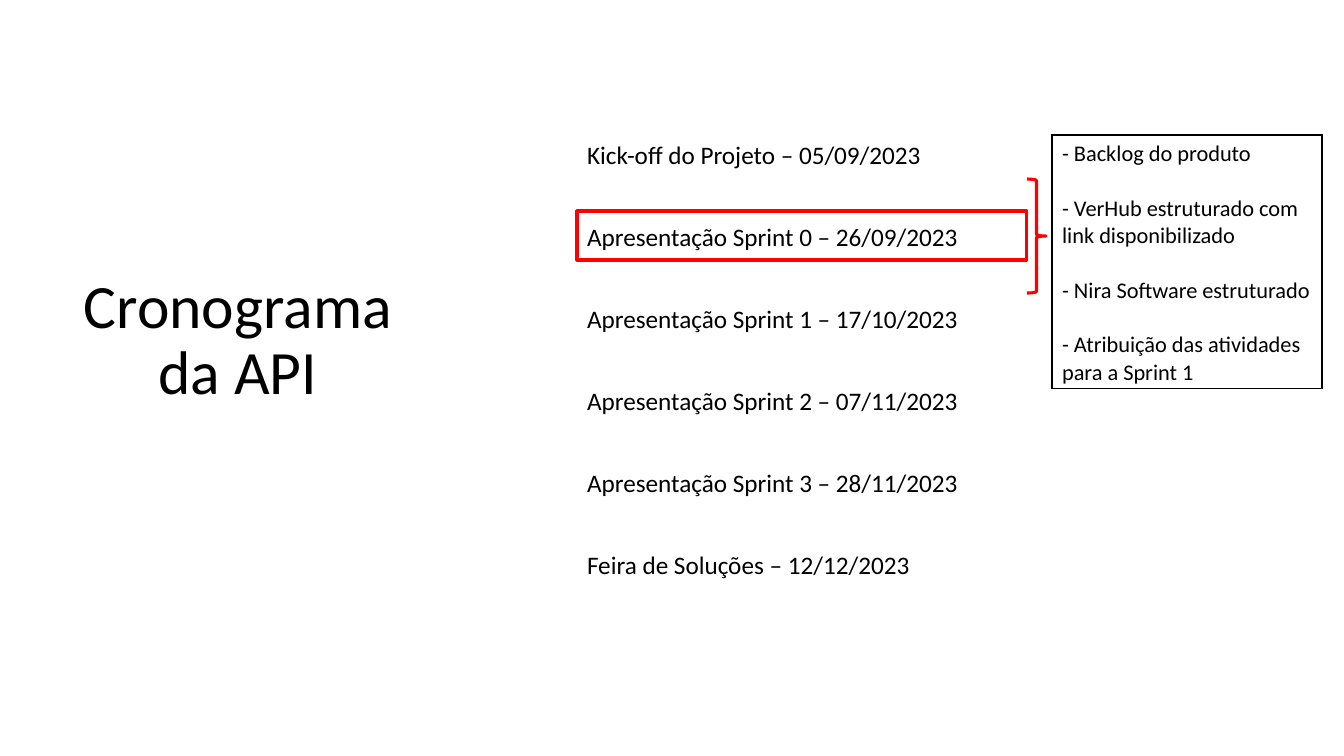
from dataclasses import dataclass

import pptx
import pptx.dml.color
import pptx.enum.shapes
import pptx.enum.text
import pptx.oxml
import pptx.oxml.ns
import pptx.util

EMU_PER_INCH = 914400
PX_PER_INCH = 100.8


@dataclass(frozen=True)
class Theme:
    font: str = "Calibri"
    ink: str = "000000"
    accent: str = "FF0000"
    title_pt: int = 44
    milestone_pt: int = 18
    deliverable_pt: int = 16
    deliverable_gap_pt: float = 19.5
    mark_pt: float = 2.25
    border_pt: int = 1


@dataclass(frozen=True)
class Box:
    left: int
    top: int
    width: int
    height: int


@dataclass(frozen=True)
class Mark:
    kind: pptx.enum.shapes.MSO_SHAPE
    box: Box


THEME = Theme()

TITLE = "Cronograma da API"  # a no-break space follows the first word
TITLE_BOX = Box(68, 57, 340, 636)
TITLE_BOTTOM_INSET = 72

MILESTONES = [
    "Kick-off do Projeto – 05/09/2023",
    "Apresentação Sprint 0 – 26/09/2023",
    "Apresentação Sprint 1 – 17/10/2023",
    "Apresentação Sprint 2 – 07/11/2023",
    "Apresentação Sprint 3 – 28/11/2023",
    "Feira de Soluções – 12/12/2023",
]
MILESTONES_BOX = Box(577, 135, 450, 492)

DELIVERABLES = [
    "- Backlog do produto",
    "- VerHub estruturado com link disponibilizado",
    "- Nira Software estruturado",
    "- Atribuição das atividades para a Sprint 1",
]
DELIVERABLES_BOX = Box(1052, 135, 270, 252)

SPRINT_MARKS = [
    Mark(pptx.enum.shapes.MSO_SHAPE.RECTANGLE, Box(577, 211, 450, 49)),
    Mark(pptx.enum.shapes.MSO_SHAPE.RIGHT_BRACE, Box(1027, 179, 19, 114)),
]


def px(length: int) -> pptx.util.Emu:
    return pptx.util.Emu(round(length * EMU_PER_INCH / PX_PER_INCH))


def place(box: Box) -> tuple[pptx.util.Emu, ...]:
    return px(box.left), px(box.top), px(box.width), px(box.height)


def rgb(colour: str) -> pptx.dml.color.RGBColor:
    return pptx.dml.color.RGBColor.from_string(colour)


def add_run(paragraph, text: str, size: float) -> None:
    run = paragraph.add_run()
    run.text = text
    run.font.name = THEME.font
    run.font.size = pptx.util.Pt(size)
    run.font.color.rgb = rgb(THEME.ink)


def add_title(slide) -> None:
    frame = slide.shapes.add_textbox(*place(TITLE_BOX)).text_frame
    frame.word_wrap = True
    frame.vertical_anchor = pptx.enum.text.MSO_ANCHOR.MIDDLE
    frame.margin_bottom = px(TITLE_BOTTOM_INSET)
    paragraph = frame.paragraphs[0]
    paragraph.alignment = pptx.enum.text.PP_ALIGN.CENTER
    paragraph.line_spacing = 0.9
    add_run(paragraph, TITLE, THEME.title_pt)


def set_borders(cell, colour: str | None) -> None:
    """Outline all four sides of a cell, or none when no colour is given."""
    fill = "<a:noFill/>"
    if colour:
        fill = f'<a:solidFill><a:srgbClr val="{colour}"/></a:solidFill>'
    width = pptx.util.Pt(THEME.border_pt)
    properties = cell._tc.get_or_add_tcPr()
    for position, side in enumerate(("lnL", "lnR", "lnT", "lnB")):
        properties.insert(position, pptx.oxml.parse_xml(
            f'<a:{side} {pptx.oxml.ns.nsdecls("a")} w="{width}">{fill}</a:{side}>'))


def add_column(slide, box: Box, rows: list[list[str]], size: int,
               border: str | None = None) -> None:
    """Add a one-column table; each row is a list of paragraphs."""
    table = slide.shapes.add_table(len(rows), 1, *place(box)).table
    table.first_row = False
    table.horz_banding = False
    for row_index, lines in enumerate(rows):
        cell = table.cell(row_index, 0)
        cell.fill.background()
        set_borders(cell, border)
        for line_index, line in enumerate(lines):
            if line_index == 0:
                paragraph = cell.text_frame.paragraphs[0]
            else:
                paragraph = cell.text_frame.add_paragraph()
                paragraph.space_before = pptx.util.Pt(THEME.deliverable_gap_pt)
            add_run(paragraph, line, size)


def add_mark(slide, mark: Mark) -> None:
    shape = slide.shapes.add_shape(mark.kind, *place(mark.box))
    shape.shadow.inherit = False
    shape.fill.background()
    shape.line.color.rgb = rgb(THEME.accent)
    shape.line.width = pptx.util.Pt(THEME.mark_pt)


def main() -> None:
    deck = pptx.Presentation()
    deck.slide_width = px(1344)
    deck.slide_height = px(756)
    slide = deck.slides.add_slide(deck.slide_layouts[6])
    add_column(slide, MILESTONES_BOX, [[milestone] for milestone in MILESTONES],
               THEME.milestone_pt)
    add_title(slide)
    for mark in SPRINT_MARKS:
        add_mark(slide, mark)
    add_column(slide, DELIVERABLES_BOX, [DELIVERABLES], THEME.deliverable_pt,
               THEME.ink)
    deck.save("out.pptx")


if __name__ == "__main__":
    main()
